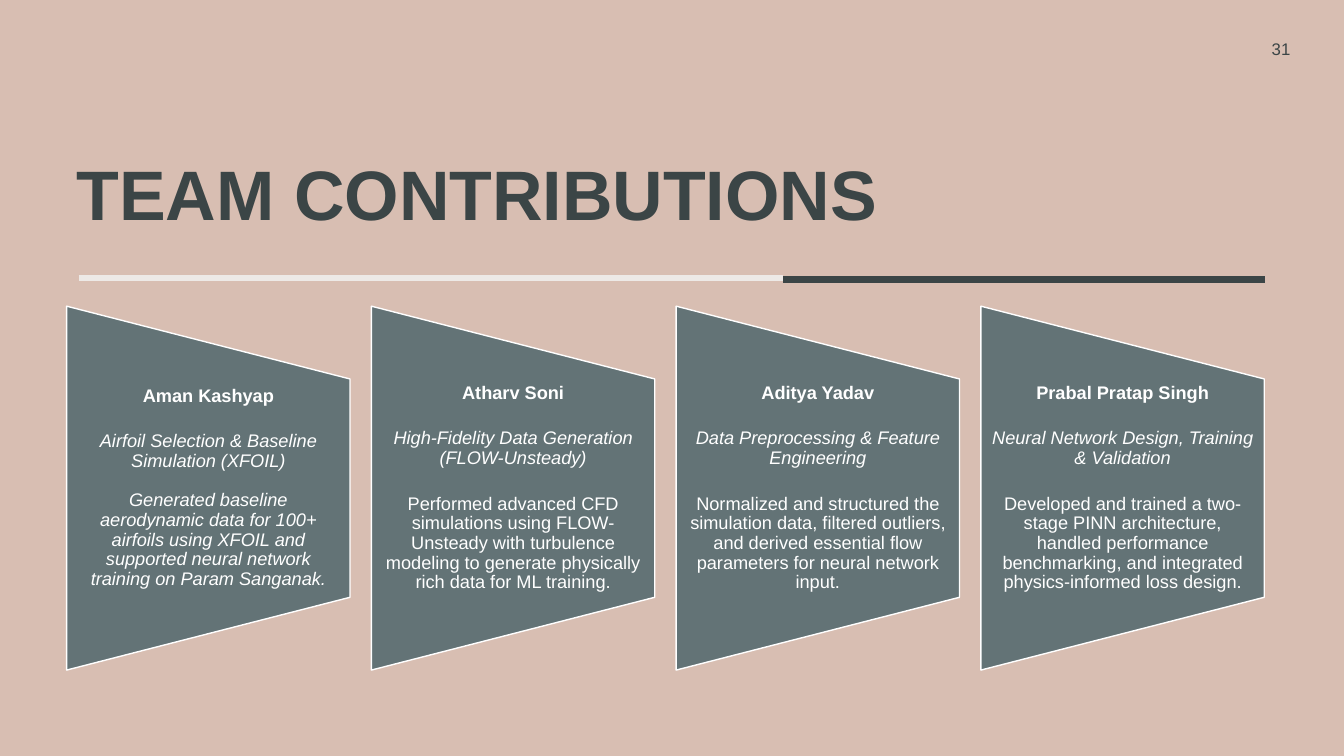
"""Build the team contributions slide with four tapered cards."""
from dataclasses import dataclass

from lxml import etree
from pptx import Presentation
from pptx import util as u
from pptx.dml.color import RGBColor
from pptx.enum import shapes, text
from pptx.oxml import ns
from pptx.slide import Slide
from pptx.text.text import TextFrame

DARK, LIGHT, CARD, WHITE, ROSE = "3B4546", "EDE9E6", "637376", "FFFFFF", "D8BEB2"
CARD_LEFT, CARD_TOP, CARD_STEP = 1.68, 7.72, 7.68
CARD_WIDTH, CARD_HEIGHT, CARD_MIDDLE = 7.14, 9.17, 12.3


@dataclass
class Member:
    name: str
    role: str
    work: str
    work_italic: bool = False
    work_gap: float = 18.5


@dataclass
class Rule:
    start: float
    end: float
    top: float
    color: str


MEMBERS = [
    Member("Aman Kashyap", "Airfoil Selection & Baseline Simulation (XFOIL)",
           "Generated baseline aerodynamic data for 100+ airfoils using XFOIL and "
           "supported neural network training on Param Sanganak.", True, 14),
    Member("Atharv Soni", "High-Fidelity Data Generation (FLOW-Unsteady)",
           "Performed advanced CFD simulations using FLOW-Unsteady with turbulence "
           "modeling to generate physically rich data for ML training."),
    Member("Aditya Yadav", "Data Preprocessing & Feature Engineering",
           "Normalized and structured the simulation data, filtered outliers, and "
           "derived essential flow parameters for neural network input."),
    Member("Prabal Pratap Singh", "Neural Network Design, Training & Validation",
           "Developed and trained a two-stage PINN architecture, handled performance "
           "benchmarking, and integrated physics-informed loss design."),
]
RULES = [Rule(1.98, 19.74, 7.01, LIGHT), Rule(19.74, 31.88, 7.04, DARK)]


def rgb(value: str) -> RGBColor:
    """Turn a hex string into a colour."""
    return RGBColor.from_string(value)


def add_frame(slide: Slide, left: float, top: float, width: float, height: float,
              inset: float = 0.13) -> TextFrame:
    """Add a wrapping, vertically centred text box."""
    box = slide.shapes.add_textbox(u.Cm(left), u.Cm(top), u.Cm(width), u.Cm(height))
    frame = box.text_frame
    frame.word_wrap = True
    frame.vertical_anchor = text.MSO_ANCHOR.MIDDLE
    frame.margin_top = frame.margin_bottom = u.Cm(inset)
    return frame


def write(frame: TextFrame, words: str, *, size: float = 13, color: str = WHITE,
          bold: bool = False, italic: bool = False, spacing: float = 0.9,
          before: float = 0, align: text.PP_ALIGN = text.PP_ALIGN.CENTER) -> None:
    """Write one formatted paragraph at the end of a frame."""
    paragraph = frame.paragraphs[0] if not frame.text else frame.add_paragraph()
    paragraph.alignment = align
    paragraph.line_spacing = spacing
    if before:
        paragraph.space_before = u.Pt(before)
    run = paragraph.add_run()
    run.text = words
    run.font.name = "Arial"
    run.font.size = u.Pt(size)
    run.font.bold = bold
    run.font.italic = italic
    run.font.color.rgb = rgb(color)


def draw_rule(slide: Slide, rule: Rule) -> None:
    """Draw one part of the line under the title."""
    line = slide.shapes.add_connector(
        shapes.MSO_CONNECTOR.STRAIGHT,
        u.Cm(rule.start), u.Cm(rule.top), u.Cm(rule.end), u.Cm(rule.top))
    line.line.color.rgb = rgb(rule.color)
    line.line.width = u.Pt(4.5)
    etree.SubElement(line._element.spPr, ns.qn("a:effectLst"))


def draw_member(slide: Slide, member: Member, left: float) -> None:
    """Draw a member's tapered card and its text."""
    card = slide.shapes.add_shape(
        shapes.MSO_SHAPE.FLOWCHART_MANUAL_OPERATION,
        u.Cm(left - (CARD_HEIGHT - CARD_WIDTH) / 2), u.Cm(CARD_MIDDLE - CARD_WIDTH / 2),
        u.Cm(CARD_HEIGHT), u.Cm(CARD_WIDTH))
    card.rotation = 270
    card.shadow.inherit = False
    card.fill.solid()
    card.fill.fore_color.rgb = rgb(CARD)
    card.line.color.rgb = rgb(WHITE)
    card.line.width = u.Pt(1)

    frame = add_frame(slide, left, 9.55, CARD_WIDTH, 5.5, inset=0)
    frame.margin_left = frame.margin_right = u.Cm(0.23)
    write(frame, member.name, bold=True)
    write(frame, member.role, italic=True, before=18.5)
    write(frame, member.work, italic=member.work_italic, before=member.work_gap)


def main() -> None:
    """Build and save the slide."""
    deck = Presentation()
    deck.slide_width, deck.slide_height = u.Cm(33.87), u.Cm(19.05)
    slide = deck.slides.add_slide(deck.slide_layouts[6])
    slide.background.fill.solid()
    slide.background.fill.fore_color.rgb = rgb(ROSE)

    for rule in RULES:
        draw_rule(slide, rule)
    for index, member in enumerate(MEMBERS):
        draw_member(slide, member, CARD_LEFT + index * CARD_STEP)

    page_number = add_frame(slide, 28.12, 0.84, 4.65, 0.76)
    write(page_number, "31", size=12, color=DARK, spacing=1, align=text.PP_ALIGN.RIGHT)
    title = add_frame(slide, 1.68, 4.06, 30.2, 1.96)
    write(title, "TEAM CONTRIBUTIONS", size=50, color=DARK, bold=True, spacing=0.8,
          align=text.PP_ALIGN.LEFT)
    deck.save("out.pptx")


if __name__ == "__main__":
    main()
